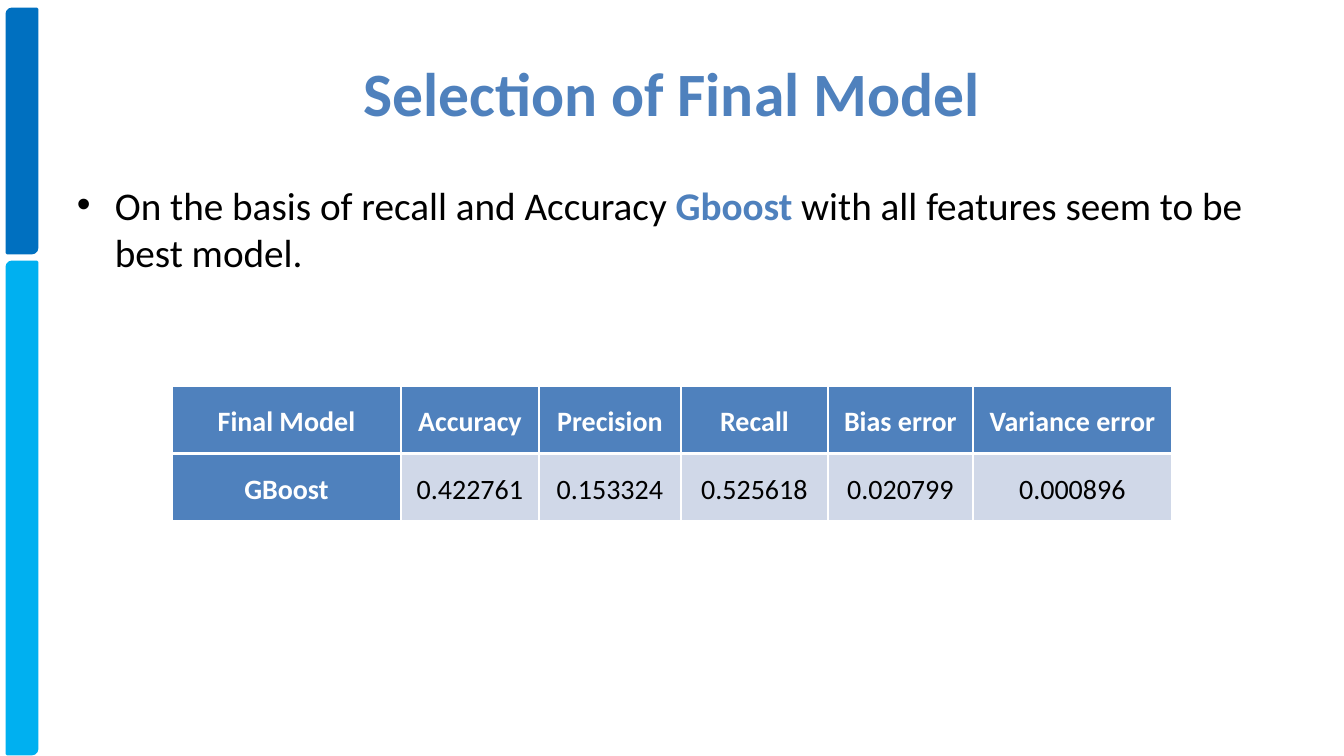
import pptx
import pptx.util
import pptx.dml.color
import pptx.enum.shapes
import pptx.enum.text
import pptx.oxml.ns
import lxml.etree

SCALE = 12192000 / 1344
ALIGN = pptx.enum.text.PP_ALIGN
MIDDLE = pptx.enum.text.MSO_ANCHOR.MIDDLE
BLUE, WHITE, BLACK = "4F81BD", "FFFFFF", "000000"


def px(*sizes):
    return [round(size * SCALE) for size in sizes]


def paint(target, color):
    """Give a fill, or the colour of a font."""
    if hasattr(target, "solid"):
        target.solid()
        target = target.fore_color
    else:
        target = target.color
    target.rgb = pptx.dml.color.RGBColor.from_string(color)


deck = pptx.Presentation()
deck.slide_width, deck.slide_height = px(1344, 756)
slide = deck.slides.add_slide(deck.slide_layouts[5])

# Side bars
for top, height, color in [(9, 244, "0070C0"), (262, 492, "00B0F0")]:
    bar = slide.shapes.add_shape(
        pptx.enum.shapes.MSO_SHAPE.ROUND_2_DIAG_RECTANGLE, *px(7, top, 30, height))
    bar.shadow.inherit = False
    paint(bar.fill, color)
    paint(bar.line.fill, color)
    bar.line.width = pptx.util.Pt(2)

# Title
title = slide.shapes.title
title.left, title.top, title.width, title.height = px(67, 29, 1210, 126)
title.text_frame.text = "Selection of Final Model"
title.text_frame.vertical_anchor = MIDDLE
head = title.text_frame.paragraphs[0]
head.alignment = ALIGN.CENTER
head.font.name, head.font.size, head.font.bold = "Calibri", pptx.util.Pt(44), True
paint(head.font, BLUE)

# Bullet point
body = slide.shapes.add_textbox(*px(67, 176, 1210, 499))
body.text_frame.word_wrap = True
point = body.text_frame.paragraphs[0]
point.font.name, point.font.size = "Calibri", pptx.util.Pt(28)
point.space_before = pptx.util.Pt(5.6)
for text, color, bold in [
    ("On the basis of recall and Accuracy ", BLACK, False),
    ("Gboost", BLUE, True),
    (" with all features seem to be best model.", BLACK, False),
]:
    run = point.add_run()
    run.text = text
    run.font.bold = bold
    paint(run.font, color)
indent, = px(38)
props = point._p.get_or_add_pPr()
props.set("marL", str(indent))
props.set("indent", str(-indent))
for tag, key, value in [("a:buFont", "typeface", "Arial"), ("a:buChar", "char", "•")]:
    mark = lxml.etree.SubElement(props, pptx.oxml.ns.qn(tag))
    mark.set(key, value)
# Bullet marks go ahead of the default run settings
for rest in props.findall(pptx.oxml.ns.qn("a:defRPr")):
    props.append(rest)

# Score table
rows = [
    ["Final Model", "Accuracy", "Precision", "Recall", "Bias error", "Variance error"],
    ["GBoost", "0.422761", "0.153324", "0.525618", "0.020799", "0.000896"],
]
widths = [229, 138, 142, 147, 145, 199]
table = slide.shapes.add_table(2, 6, *px(172, 386, sum(widths), 135)).table
for column, width in zip(table.columns, px(*widths)):
    column.width = width
for r, row in enumerate(rows):
    table.rows[r].height, = px(67.5)
    for c, text in enumerate(row):
        label = r == 0 or c == 0
        cell = table.cell(r, c)
        cell.text = text
        cell.vertical_anchor = MIDDLE
        cell.margin_left = cell.margin_right = px(7 if label else 11)[0]
        cell.margin_top = cell.margin_bottom = 0
        # White borders, thick below the header
        thick = "a:lnB" if r == 0 else "a:lnT"
        for side in ["a:lnL", "a:lnR", "a:lnT", "a:lnB"]:
            edge = lxml.etree.SubElement(
                cell._tc.get_or_add_tcPr(), pptx.oxml.ns.qn(side))
            edge.set("w", str(pptx.util.Pt(3 if side == thick else 1)))
            solid = lxml.etree.SubElement(edge, pptx.oxml.ns.qn("a:solidFill"))
            lxml.etree.SubElement(
                solid, pptx.oxml.ns.qn("a:srgbClr")).set("val", WHITE)
        paint(cell.fill, BLUE if label else "D0D8E8")
        para = cell.text_frame.paragraphs[0]
        para.alignment = ALIGN.CENTER
        para.line_spacing = 1.15
        if r == 0 or c > 0:
            para.space_before, para.space_after = pptx.util.Pt(5), pptx.util.Pt(10)
        para.font.name, para.font.size = "Calibri", pptx.util.Pt(20)
        para.font.bold = label
        paint(para.font, WHITE if label else BLACK)

deck.save("out.pptx")
